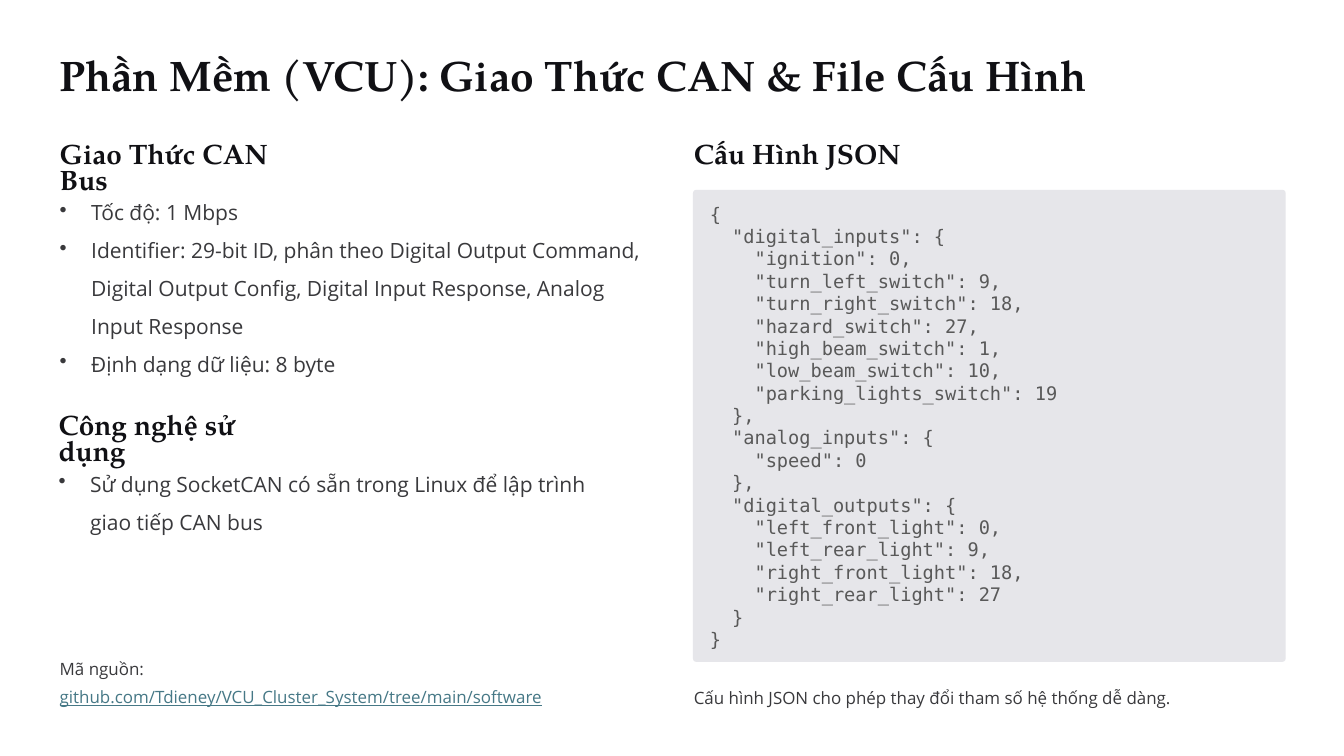
from dataclasses import dataclass

import pptx
import pptx.dml.color
import pptx.enum.shapes
import pptx.oxml
import pptx.oxml.ns
import pptx.util

Pt = pptx.util.Pt


@dataclass(frozen=True)
class Theme:
    serif: str = "TeX Gyre Pagella"
    sans: str = "Open Sans"
    mono: str = "DejaVu Sans Mono"
    ink: str = "101014"
    body: str = "39393C"
    code: str = "595959"
    link: str = "467886"
    panel: str = "E6E6EA"
    title_size: float = 36.5
    heading_size: float = 24
    body_size: float = 18
    code_size: float = 16
    note_size: float = 14.5


theme = Theme()


def color(value):
    return pptx.dml.color.RGBColor.from_string(value)


def add_text(area, paragraphs, style, spacing, bullet=False, wrap=False):
    """Add a text box; every paragraph is a list of lines joined by breaks."""
    box = page.shapes.add_textbox(*map(Pt, area))
    frame = box.text_frame
    frame.word_wrap = wrap
    for side in ("left", "top", "right", "bottom"):
        setattr(frame, f"margin_{side}", 0)
    for index, lines in enumerate(paragraphs):
        para = frame.paragraphs[0] if index == 0 else frame.add_paragraph()
        para.line_spacing = spacing
        if bullet:
            properties = para._p.get_or_add_pPr()
            properties.set("marL", str(Pt(27)))
            properties.set("indent", str(-Pt(27)))
            mark = pptx.oxml.parse_xml(
                f'<a:buChar {pptx.oxml.ns.nsdecls("a")} char="•"/>')
            properties.append(mark)
        for number, line in enumerate(lines):
            if number:
                para.add_line_break()
            span = para.add_run()
            span.text = line
            for name, value in style.items():
                if name == "color":
                    span.font.color.rgb = color(value)
                else:
                    setattr(span.font, name, value)
    return box


heading = {"name": theme.serif, "size": Pt(theme.heading_size), "bold": True, "color": theme.ink}
title = heading | {"size": Pt(theme.title_size)}
body = {"name": theme.sans, "size": Pt(theme.body_size), "color": theme.body}
note = body | {"size": Pt(theme.note_size)}
code = {"name": theme.mono, "size": Pt(theme.code_size), "color": theme.code}

left, right, column = 51.2, 594.7, 507

deck = pptx.Presentation()
deck.slide_width, deck.slide_height = Pt(1152), Pt(648)
page = deck.slides.add_slide(deck.slide_layouts[6])

add_text((left, 40.3, 892, 46), [["Phần Mềm (VCU): Giao Thức CAN & File Cấu Hình"]], title, Pt(45.5))

for x, y, label in (
    (left, 123.1, "Giao Thức CAN Bus"),
    (right, 123.1, "Cấu Hình JSON"),
    (50.2, 355.6, "Công nghệ sử dụng"),
):
    add_text((x, y, 184, 23), [[label]], heading, Pt(22.5))

add_text((left, 160.6, column, 145), [
    ["Tốc độ: 1 Mbps"],
    ["Identifier: 29-bit ID, phân theo Digital Output Command,",
     "Digital Output Config, Digital Input Response, Analog",
     "Input Response"],
    ["Định dạng dữ liệu: 8 byte"],
], body, 1.5, bullet=True)
add_text((50.2, 393.1, column, 71), [
    ["Sử dụng SocketCAN có sẵn trong Linux để lập trình", "giao tiếp CAN bus"],
], body, 1.5, bullet=True)

panel = page.shapes.add_shape(
    pptx.enum.shapes.MSO_SHAPE.ROUNDED_RECTANGLE, Pt(594), Pt(162.7), Pt(508), Pt(404.6))
panel.adjustments[0] = 0.007
panel.shadow.inherit = False
panel.fill.solid()
panel.fill.fore_color.rgb = color(theme.panel)
panel.line.fill.background()

config = """{
  "digital_inputs": {
    "ignition": 0,
    "turn_left_switch": 9,
    "turn_right_switch": 18,
    "hazard_switch": 27,
    "high_beam_switch": 1,
    "low_beam_switch": 10,
    "parking_lights_switch": 19
  },
  "analog_inputs": {
    "speed": 0
  },
  "digital_outputs": {
    "left_front_light": 0,
    "left_rear_light": 9,
    "right_front_light": 18,
    "right_rear_light": 27
  }
}"""
add_text((608.4, 173.5, 479, 386), [[line] for line in config.splitlines()],
         code, Pt(19.2), wrap=True)

add_text((right, 583.2, column, 24),
         [["Cấu hình JSON cho phép thay đổi tham số hệ thống dễ dàng."]],
         note, Pt(23.5), wrap=True)

source = add_text((left, 558.7, 482, 50),
                  [["Mã nguồn:", "github.com/Tdieney/VCU_Cluster_System/tree/main/software"]],
                  note, Pt(23.5))
address = source.text_frame.paragraphs[0].runs[-1]
address.font.color.rgb = color(theme.link)
address.font.underline = True

deck.save("out.pptx")
